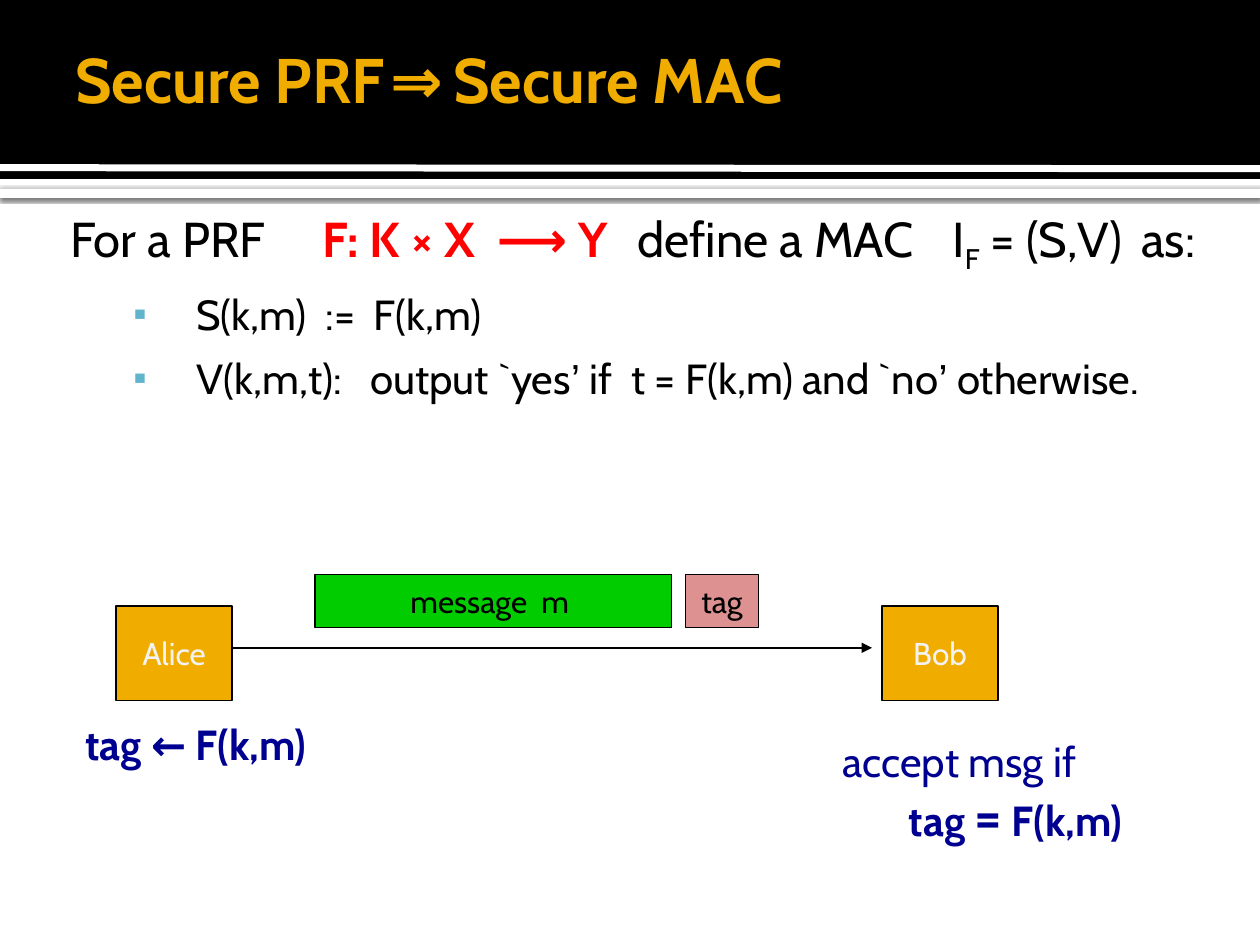
"""Build the slide that derives a secure MAC from a secure PRF."""
import pptx
import pptx.dml.color
import pptx.enum.shapes
import pptx.enum.text
import pptx.oxml
import pptx.oxml.ns
import pptx.util

Cm = pptx.util.Cm
Pt = pptx.util.Pt
RGBColor = pptx.dml.color.RGBColor
Anchor = pptx.enum.text.MSO_ANCHOR
Align = pptx.enum.text.PP_ALIGN

BLACK = RGBColor(0x00, 0x00, 0x00)
WHITE = RGBColor(0xFF, 0xFF, 0xFF)
PALE = RGBColor(0xF2, 0xF2, 0xF2)
GOLD = RGBColor(0xF0, 0xAD, 0x00)
RED = RGBColor(0xFF, 0x00, 0x00)
GREEN = RGBColor(0x00, 0xCC, 0x00)
ROSE = RGBColor(0xDD, 0x91, 0x91)
NAVY = RGBColor(0x00, 0x00, 0x90)
TEAL = RGBColor(0x60, 0xB5, 0xCC)


def add_text(paragraph, text, size=18, color=BLACK, bold=False, name="Cabin", baseline=0):
    run = paragraph.add_run()
    run.text = text
    run.font.size = Pt(size)
    run.font.name = name
    run.font.bold = bold
    run.font.color.rgb = color
    if baseline:
        run._r.get_or_add_rPr().set("baseline", str(baseline * 1000))


def add_xml(parent, xml):
    tag, rest = xml[1:].split(None, 1) if " " in xml else (xml[1:-2], "/>")
    namespace = pptx.oxml.ns.nsdecls("a")
    parent.append(pptx.oxml.parse_xml(f"<{tag} {namespace} {rest}"))


def set_layout(paragraph, margin=0, hanging=0, bullet=None, tabs=()):
    properties = paragraph._p.get_or_add_pPr()
    properties.set("marL", str(Cm(margin)))
    properties.set("indent", str(Cm(-hanging)))
    if bullet:
        add_xml(properties, f'<a:buClr ><a:srgbClr val="{TEAL}"/></a:buClr>')
        add_xml(properties, '<a:buSzPct val="90000"/>')
        add_xml(properties, f'<a:buChar char="{bullet}"/>')
    else:
        add_xml(properties, "<a:buNone/>")
    if tabs:
        stops = "".join(f'<a:tab pos="{Cm(tab)}" algn="l"/>' for tab in tabs)
        add_xml(properties, f"<a:tabLst >{stops}</a:tabLst>")


class SlideBuilder:
    """Hold the style and the current slide."""

    line_width = Pt(0.75)

    def __init__(self, presentation):
        self.slide = presentation.slides.add_slide(presentation.slide_layouts[1])

    def placeholder(self, index, left, top, width, height, anchor, insets):
        shape = self.slide.placeholders[index]
        shape.left, shape.top, shape.width, shape.height = map(Cm, (left, top, width, height))
        frame = shape.text_frame
        frame.word_wrap = True
        frame.auto_size = pptx.enum.text.MSO_AUTO_SIZE.NONE
        frame.vertical_anchor = anchor
        frame.margin_left, frame.margin_top, frame.margin_right, frame.margin_bottom = map(Cm, insets)
        shape.element.getparent().append(shape.element)
        return frame

    def box(self, left, top, width, height, fill, label=None, color=BLACK, outlined=True):
        shape = self.slide.shapes.add_shape(
            pptx.enum.shapes.MSO_SHAPE.RECTANGLE, *map(Cm, (left, top, width, height)))
        shape.shadow.inherit = False
        shape.fill.solid()
        shape.fill.fore_color.rgb = fill
        if outlined:
            shape.line.color.rgb = BLACK
            shape.line.width = self.line_width
        else:
            shape.line.fill.background()
        if label:
            shape.text_frame.word_wrap = False
            shape.text_frame.vertical_anchor = Anchor.MIDDLE
            paragraph = shape.text_frame.paragraphs[0]
            paragraph.alignment = Align.CENTER
            add_text(paragraph, label, color=color)
        return shape

    def line(self, left, top, right, bottom, color=BLACK, width=line_width, arrow=False):
        connector = self.slide.shapes.add_connector(
            pptx.enum.shapes.MSO_CONNECTOR.STRAIGHT, *map(Cm, (left, top, right, bottom)))
        connector.line.color.rgb = color
        connector.line.width = width
        if arrow:
            add_xml(connector.line._get_or_add_ln(), '<a:tailEnd type="triangle"/>')
        add_xml(connector.element.spPr, "<a:effectLst/>")

    def text_box(self, left, top, width, height):
        shape = self.slide.shapes.add_textbox(*map(Cm, (left, top, width, height)))
        shape.text_frame.word_wrap = True
        return shape.text_frame


def build_header(builder):
    stripe = builder.box(0, 3.81, 25.4, 0.18, WHITE, outlined=False)
    effects = stripe.element.spPr.find(pptx.oxml.ns.qn("a:effectLst"))
    add_xml(effects, f'<a:outerShdw blurRad="{Pt(2.5)}" dist="{Pt(0.8)}" dir="5400000">'
                     '<a:srgbClr val="000000"><a:alpha val="60000"/></a:srgbClr></a:outerShdw>')
    builder.box(0, 0, 25.4, 3.61, BLACK, outlined=False)
    builder.line(0, 3.38, 25.4, 3.4, WHITE, Pt(4))
    title = builder.placeholder(0, 1.27, 0.2, 20.95, 2.74, Anchor.MIDDLE, (0.25, 0.13, 0.13, 0.13))
    paragraph = title.paragraphs[0]
    set_layout(paragraph, tabs=(7.06, 9))
    paragraph.alignment = Align.LEFT
    add_text(paragraph, "Secure PRF\t⇒\tSecure MAC", size=36, color=GOLD, bold=True)


def build_definition(builder):
    body = builder.placeholder(1, 1.27, 3.81, 24.13, 14.4, Anchor.TOP, (0.15, 0.25, 0.25, 0.13))
    intro = body.paragraphs[0]
    set_layout(intro, tabs=(4.55, 10.96, 17.4, 21.7))
    intro.line_spacing = 1.1
    intro.space_before = Pt(0)
    add_text(intro, "For a PRF\t", size=28)
    add_text(intro, "F: K × X  ⟶ Y\t", size=28, color=RED, bold=True)
    add_text(intro, "define a MAC\tI", size=28)
    add_text(intro, "F", size=28, baseline=-25)
    add_text(intro, " = (S,V)\tas:", size=28)
    algorithms = (
        ("S(k,m)  :=  F(k,m)",),
        ("V(k,m,t):   output `yes", "’", " if  t = F(k,m) and `no", "’", " otherwise."),
    )
    for parts in algorithms:
        paragraph = body.add_paragraph()
        paragraph.level = 1
        set_layout(paragraph, margin=2.54, hanging=1.27, bullet="▪")
        paragraph.line_spacing = 1.1
        paragraph.space_before = Pt(4.8)
        for part in parts:
            add_text(paragraph, part, size=24, name="Arial" if part == "’" else "Cabin")


def build_protocol(builder):
    for left, party in ((2.34, "Alice"), (17.78, "Bob")):
        builder.box(left, 12.22, 2.34, 1.9, GOLD, party, PALE)
    builder.line(4.65, 13.06, 17.58, 13.06, arrow=True)
    builder.box(6.35, 11.58, 7.19, 1.07, GREEN, "message  m ")
    builder.box(13.82, 11.58, 1.47, 1.07, ROSE, "tag")

    signing = builder.text_box(1.47, 14.35, 6.15, 1.27)
    add_text(signing.paragraphs[0], "tag ← F(k,m)", size=24, color=NAVY, bold=True)

    checking = builder.text_box(16.74, 14.71, 6.35, 2.54)
    add_text(checking.paragraphs[0], "accept msg if", size=24, color=NAVY)
    condition = checking.add_paragraph()
    set_layout(condition, margin=1.33)
    condition.line_spacing = Pt(35)
    for text, size in (("tag ", 24), ("=", 32), (" F(k,m)", 24)):
        add_text(condition, text, size=size, color=NAVY, bold=True)


def main():
    presentation = pptx.Presentation()
    presentation.slide_width = Cm(25.4)
    presentation.slide_height = Cm(19.05)
    builder = SlideBuilder(presentation)
    build_header(builder)
    build_definition(builder)
    build_protocol(builder)
    presentation.save("out.pptx")


if __name__ == "__main__":
    main()
